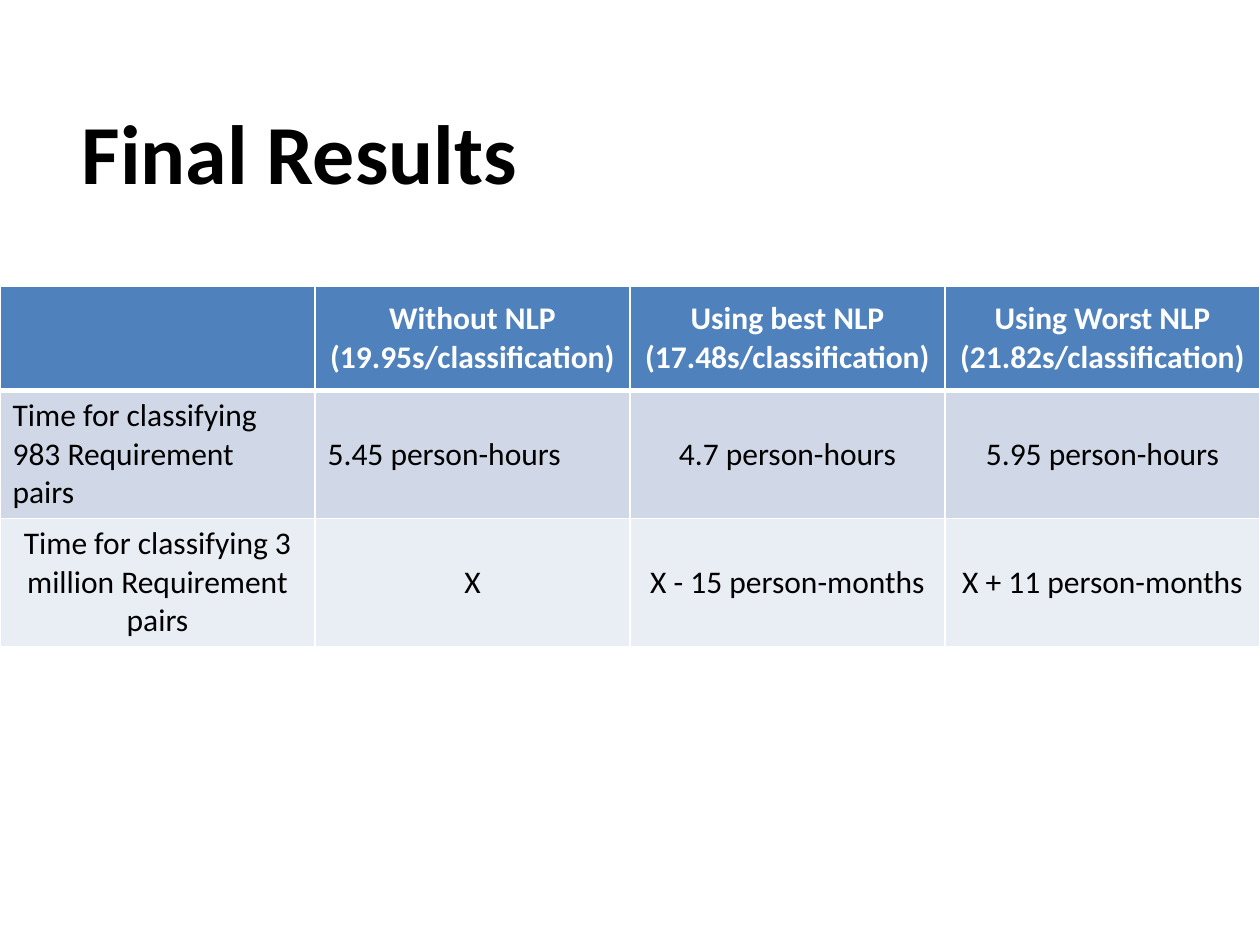
from lxml import etree
from pptx import Presentation
from pptx.dml.color import RGBColor
from pptx.enum.text import MSO_ANCHOR, PP_ALIGN
from pptx.oxml.ns import qn
from pptx.util import Inches, Pt

LEFT, CENTER = PP_ALIGN.LEFT, PP_ALIGN.CENTER
MIDDLE = MSO_ANCHOR.MIDDLE
BLACK = RGBColor(0x00, 0x00, 0x00)
WHITE = RGBColor(0xFF, 0xFF, 0xFF)
BLUE = RGBColor(0x4F, 0x81, 0xBD)
BAND_DARK = RGBColor(0xD0, 0xD8, 0xE8)
BAND_LIGHT = RGBColor(0xE9, 0xED, 0xF4)
FONT = "Calibri"

ROWS = [
    ["", "Without NLP\n(19.95s/classification)", "Using best NLP\n(17.48s/classification)",
     "Using Worst NLP\n(21.82s/classification)"],
    ["Time for classifying 983 Requirement pairs", "5.45 person-hours",
     "4.7 person-hours", "5.95 person-hours"],
    ["Time for classifying 3 million Requirement pairs", "X",
     "X - 15 person-months", "X + 11 person-months"],
]
FILLS = [BLUE, BAND_DARK, BAND_LIGHT]
LEFT_CELLS = [(1, 0), (1, 1)]


def format_runs(p, size, color, bold):
    for r in p.runs:
        r.font.name = FONT
        r.font.size = Pt(size)
        r.font.bold = bold
        r.font.color.rgb = color


def add_borders(cell, widths):
    tc_pr = cell._tc.get_or_add_tcPr()
    for i, (side, width) in enumerate(widths.items()):
        ln = etree.Element(qn(f"a:{side}"), w=str(Pt(width)))
        fill = etree.SubElement(ln, qn("a:solidFill"))
        etree.SubElement(fill, qn("a:srgbClr"), val=str(WHITE))
        tc_pr.insert(i, ln)


prs = Presentation()
prs.slide_width, prs.slide_height = Inches(10), Inches(7.5)
s = prs.slides.add_slide(prs.slide_layouts[5])

title = s.shapes.title
title.left, title.top = Inches(0.55), Inches(0.39)
title.width, title.height = Inches(8.5), Inches(1.61)
tf = title.text_frame
tf.text = "Final Results"
tf.vertical_anchor = MIDDLE
tf.paragraphs[0].alignment = LEFT
format_runs(tf.paragraphs[0], 48, BLACK, True)

table = s.shapes.add_table(3, 4, Inches(0), Inches(2.27), Inches(10), Inches(2.49)).table
for i, row in enumerate(ROWS):
    table.rows[i].height = Inches(0.83)
    header = i == 0
    for j, text in enumerate(row):
        cell = table.cell(i, j)
        cell.text_frame.text = text
        cell.vertical_anchor = MIDDLE
        cell.fill.solid()
        cell.fill.fore_color.rgb = FILLS[i]
        add_borders(cell, {"lnL": 1, "lnR": 1, "lnT": 3 if i == 1 else 1, "lnB": 3 if header else 1})
        for p in cell.text_frame.paragraphs:
            p.alignment = LEFT if (i, j) in LEFT_CELLS else CENTER
            format_runs(p, 18, WHITE if header else BLACK, header)

prs.save("out.pptx")
